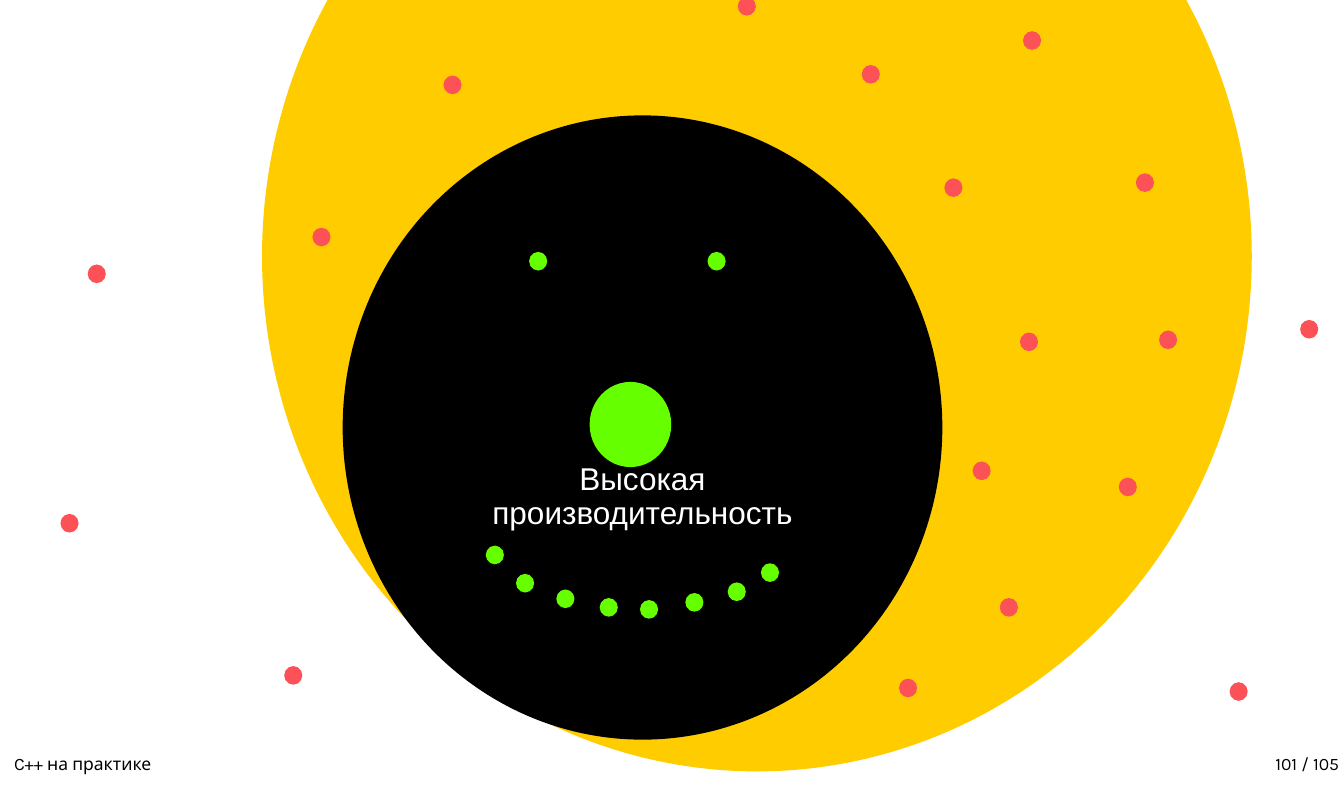
from pptx import Presentation
from pptx import util as u
from pptx.dml.color import RGBColor
from pptx.enum import shapes, text

PX = 9144
COLORS = {"sun": "FFCC00", "face": "000000", "feature": "66FF00",
          "speck": "FC5157", "ink": "000000", "light": "FFFFFF"}
DOT = (36, 37)
EYES = [(1050, 500), (1404, 500)]
SMILE = [(964, 1083), (1024, 1139), (1104, 1170), (1190, 1187),
         (1270, 1191), (1360, 1177), (1444, 1156), (1510, 1118)]
SPECKS = [(2030, 62), (2024, 660), (1464, -6), (880, 150), (1984, 1187),
          (2254, 344), (2220, 948), (1874, 354), (620, 452), (1710, 129),
          (2300, 656), (1784, 1347), (1930, 916), (120, 1020), (564, 1322),
          (2440, 1354), (2580, 635), (174, 525)]


class Canvas:
    def __init__(self, slide):
        self.slide = slide

    def color(self, name):
        return RGBColor.from_string(COLORS[name])

    def ellipse(self, left, top, width, height, color):
        disc = self.slide.shapes.add_shape(
            shapes.MSO_SHAPE.OVAL, *(v * PX for v in (left, top, width, height)))
        disc.shadow.inherit = False
        disc.fill.solid()
        disc.fill.fore_color.rgb = self.color(color)
        disc.line.fill.background()
        return disc

    def dots(self, corners, color):
        for left, top in corners:
            self.ellipse(left, top, *DOT, color)

    def label(self, frame, words, size, font, color, align, anchor):
        frame.word_wrap = True
        frame.vertical_anchor = anchor
        paragraph = frame.paragraphs[0]
        paragraph.alignment = align
        paragraph.line_spacing = 0.9
        run = paragraph.add_run()
        run.text = words
        run.font.size = u.Pt(size)
        run.font.name = font
        run.font.color.rgb = self.color(color)

    def footer(self, left, words, align):
        box = self.slide.shapes.add_textbox(
            *(v * PX for v in (left, 1484, 1135, 58)))
        self.label(box.text_frame, words, 25, "Karla", "ink", align,
                   text.MSO_ANCHOR.BOTTOM)


def main():
    deck = Presentation()
    deck.slide_width = 2667 * PX
    deck.slide_height = 1562 * PX
    canvas = Canvas(deck.slides.add_slide(deck.slide_layouts[6]))

    canvas.ellipse(520, -514, 1964, 2045, "sun")
    canvas.footer(18, "C++ на практике", text.PP_ALIGN.LEFT)
    canvas.footer(1532, "101 / 105", text.PP_ALIGN.RIGHT)

    face = canvas.ellipse(680, 229, 1190, 1239, "face")
    face.text_frame.margin_top = 280 * PX
    canvas.label(face.text_frame, "Высокая производительность", 45, "Arial",
                 "light", text.PP_ALIGN.CENTER, text.MSO_ANCHOR.MIDDLE)

    canvas.dots(EYES + SMILE, "feature")
    canvas.ellipse(1170, 758, 162, 169, "feature")
    canvas.dots(SPECKS, "speck")
    deck.save("out.pptx")


if __name__ == "__main__":
    main()
